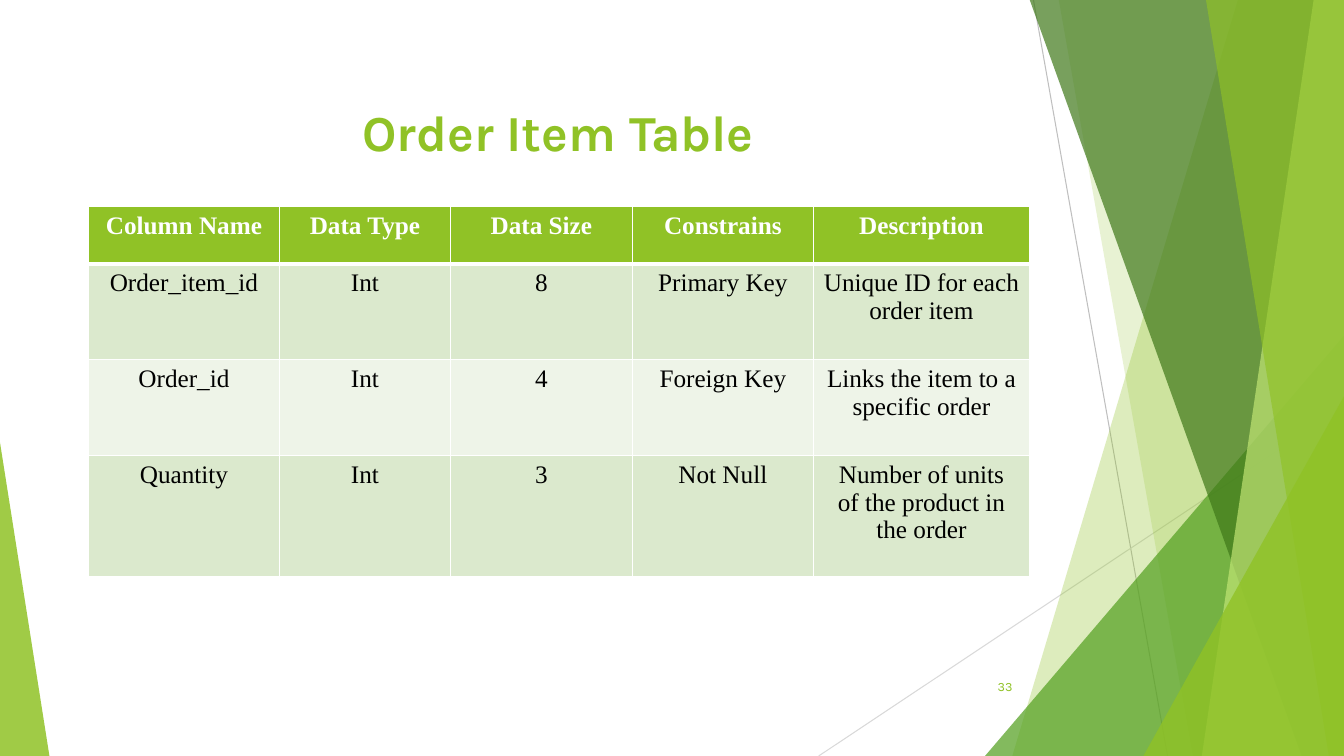
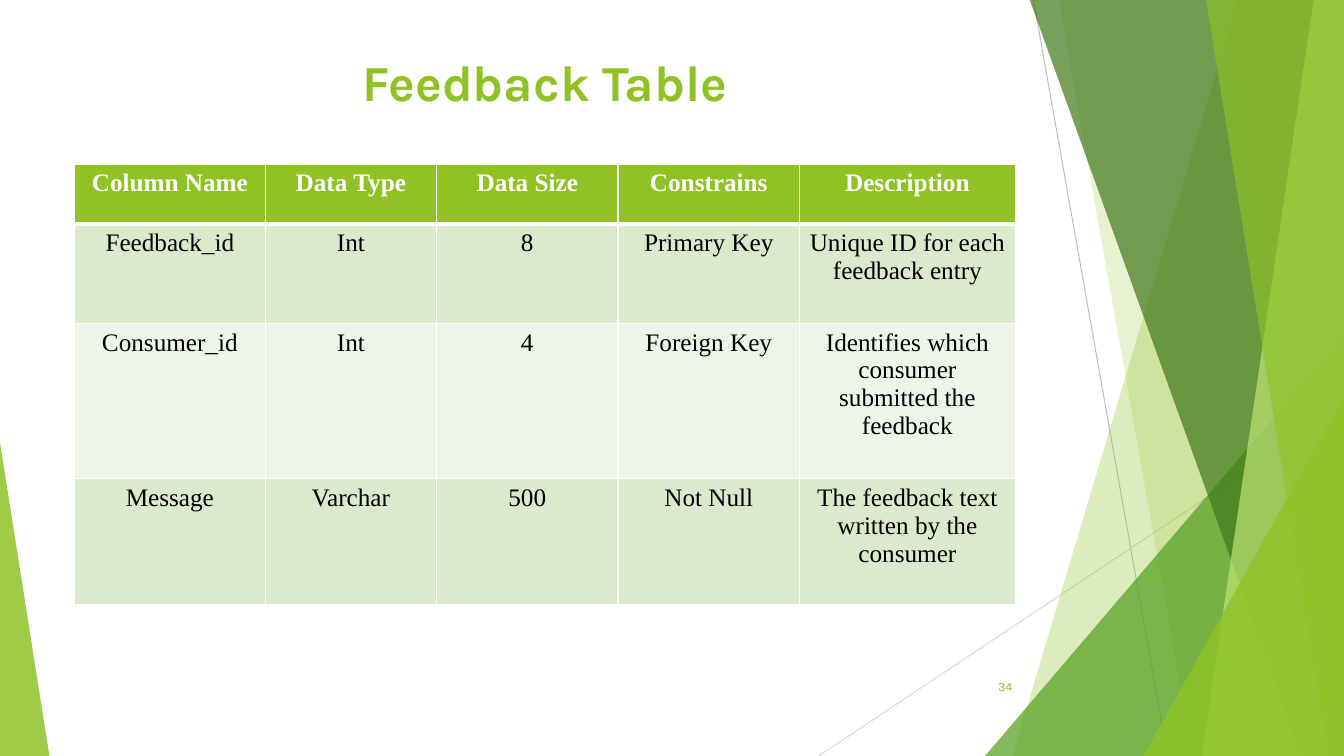
from lxml.etree import SubElement
from pptx import Presentation
from pptx.dml.color import RGBColor
from pptx.enum.shapes import MSO_CONNECTOR, MSO_SHAPE
from pptx.enum.text import MSO_ANCHOR, MSO_AUTO_SIZE, PP_ALIGN
from pptx.oxml.ns import qn
from pptx.util import Emu, Pt

PX = 9144  # EMU in one px, 100 px to the inch
SLIDE_W, SLIDE_H = 1333, 750
BLEED_TOP = -1

WHITE = RGBColor(0xFF, 0xFF, 0xFF)
BLACK = RGBColor(0x00, 0x00, 0x00)
LIME = RGBColor(0x90, 0xC2, 0x26)
LEAF = RGBColor(0x54, 0xA0, 0x21)
FOREST = RGBColor(0x3F, 0x78, 0x19)
PALE_LIME = RGBColor(0xC0, 0xE4, 0x74)
GREY = RGBColor(0xBF, 0xBF, 0xBF)
LIGHT_GREY = RGBColor(0xD9, 0xD9, 0xD9)
BANDS = (RGBColor(0xDB, 0xE9, 0xCD), RGBColor(0xEE, 0xF4, 0xE8))

HEADING_FONT = "Karla"
TABLE_FONT = "Times New Roman"
TITLE_ONLY = 5

HEADER = ("Column Name", "Data Type", "Data Size", "Constrains", "Description")
COLUMN_WIDTHS = (189, 170, 180, 180, 214)
CELL_SIDE_MARGIN = 8

ORDER_ITEM_ROWS = (
    ("Order_item_id", "Int", "8", "Primary Key", "Unique ID for each order item"),
    ("Order_id", "Int", "4", "Foreign Key", "Links the item to a specific order"),
    ("Quantity", "Int", "3", "Not Null",
     "Number of units\nof the product in the order"),
)
FEEDBACK_ROWS = (
    ("Feedback_id", "Int", "8", "Primary Key", "Unique ID for each feedback entry"),
    ("Consumer_id", "Int", "4", "Foreign Key",
     "Identifies which consumer submitted the feedback"),
    ("Message", "Varchar", "500", "Not Null",
     "The feedback text written by the consumer"),
)


def px(*lengths):
    return [Emu(length * PX) for length in lengths]


def write(frame, text, font, size, color, align, bold=False):
    frame.text = text
    for paragraph in frame.paragraphs:
        paragraph.alignment = align
        for run in paragraph.runs:
            run.font.name = font
            run.font.size = Pt(size)
            run.font.bold = bold
            run.font.color.rgb = color


def tint(shape, color, opacity):
    """Fill a shape with a see-through colour, without outline or shadow."""
    shape.shadow.inherit = False
    shape.line.fill.background()
    shape.fill.solid()
    shape.fill.fore_color.rgb = color
    rgb = shape.fill._xPr.find(".//" + qn("a:srgbClr"))
    SubElement(rgb, qn("a:alpha"), val=str(opacity * 1000))


def add_ray(shapes, start, end, color):
    ray = shapes.add_connector(MSO_CONNECTOR.STRAIGHT, *px(*start, *end))
    ray.line.color.rgb = color
    ray.line.width = Pt(0.75)
    SubElement(ray._element.spPr, qn("a:effectLst"))


def add_panel(shapes, top_x, bottom_x, color, opacity):
    """Draw a full-height panel from a slanted edge to the right slide edge."""
    outline = shapes.build_freeform(top_x, BLEED_TOP, scale=PX)
    outline.add_line_segments([(SLIDE_W, BLEED_TOP), (SLIDE_W, SLIDE_H),
                               (bottom_x, SLIDE_H)])
    tint(outline.convert_to_shape(), color, opacity)


def add_corner(shapes, left, right, top, apex, color, opacity):
    """Draw a triangle standing on the bottom edge; apex is 0 left or 1 right."""
    corner = shapes.add_shape(MSO_SHAPE.ISOSCELES_TRIANGLE,
                              *px(left, top, right - left, SLIDE_H - top))
    corner.adjustments[0] = apex
    tint(corner, color, opacity)


def draw_backdrop(shapes):
    add_ray(shapes, (1025, 0), (1158, SLIDE_H), GREY)
    add_ray(shapes, (SLIDE_W, 403), (812, SLIDE_H), LIGHT_GREY)
    add_panel(shapes, 1228, 1004, LIME, 30)
    add_panel(shapes, 1050, 1183, LIME, 20)
    add_corner(shapes, 977, SLIDE_W, 333, 1, LEAF, 72)
    add_panel(shapes, 1021, 1291, FOREST, 70)
    add_panel(shapes, 1303, 1192, PALE_LIME, 70)
    add_panel(shapes, 1196, 1318, LIME, 65)
    add_corner(shapes, 1134, SLIDE_W, 393, 1, LIME, 80)
    add_corner(shapes, 0, 49, 439, 0, LIME, 85)


def move_to_layout(slide, shapes):
    layout_tree = slide.slide_layout.shapes.element
    for shape in shapes:
        layout_tree.append(shape._element)


def set_title(slide, text, left, top):
    title = slide.shapes.title
    title.left, title.top, title.width, title.height = px(left, top, 667, 71)
    frame = title.text_frame
    frame.word_wrap = True
    frame.auto_size = MSO_AUTO_SIZE.NONE
    frame.vertical_anchor = MSO_ANCHOR.TOP
    write(frame, text, HEADING_FONT, 36, LIME, PP_ALIGN.CENTER, bold=True)


def add_page_number(slide, number):
    frame = slide.shapes.add_textbox(*px(939, 661, 75, 40)).text_frame
    frame.word_wrap = True
    frame.vertical_anchor = MSO_ANCHOR.MIDDLE
    write(frame, str(number), HEADING_FONT, 9, LIME, PP_ALIGN.RIGHT)


def set_borders(cell, top, bottom):
    """Give a cell white borders; top and bottom are widths in points."""
    properties = cell._tc.get_or_add_tcPr()
    for side, width in (("L", 1), ("R", 1), ("T", top), ("B", bottom)):
        border = SubElement(properties, qn(f"a:ln{side}"), w=str(Pt(width)))
        fill = SubElement(border, qn("a:solidFill"))
        SubElement(fill, qn("a:srgbClr"), val=str(WHITE))


def style_cell(cell, text, row):
    is_header = row == 0
    set_borders(cell, top=3 if row == 1 else 1, bottom=3 if is_header else 1)
    cell.fill.solid()
    cell.fill.fore_color.rgb = LIME if is_header else BANDS[(row - 1) % 2]
    cell.margin_left, cell.margin_right = px(CELL_SIDE_MARGIN, CELL_SIDE_MARGIN)
    write(cell.text_frame, text, TABLE_FONT, 18,
          WHITE if is_header else BLACK, PP_ALIGN.CENTER, bold=is_header)


def add_schema_table(slide, left, top, row_heights, body_rows):
    rows = (HEADER, *body_rows)
    table = slide.shapes.add_table(
        len(rows), len(HEADER),
        *px(left, top, sum(COLUMN_WIDTHS), sum(row_heights))).table
    for column, width in zip(table.columns, px(*COLUMN_WIDTHS)):
        column.width = width
    for table_row, height in zip(table.rows, px(*row_heights)):
        table_row.height = height
    for r, texts in enumerate(rows):
        for c, text in enumerate(texts):
            style_cell(table.cell(r, c), text, r)


def main():
    deck = Presentation()
    deck.slide_width, deck.slide_height = px(SLIDE_W, SLIDE_H)
    layout = deck.slide_layouts[TITLE_ONLY]

    order_item = deck.slides.add_slide(layout)
    draw_backdrop(order_item.shapes)
    move_to_layout(order_item, [shape for shape in order_item.shapes
                                if not shape.is_placeholder])
    add_page_number(order_item, 33)
    set_title(order_item, "Order Item Table", 220, 95)
    add_schema_table(order_item, 88, 205, (57, 95, 95, 120), ORDER_ITEM_ROWS)

    feedback = deck.slides.add_slide(layout)
    add_page_number(feedback, 34)
    set_title(feedback, "Feedback Table", 207, 46)
    add_schema_table(feedback, 74, 163, (59, 99, 154, 125), FEEDBACK_ROWS)

    deck.save("out.pptx")


if __name__ == "__main__":
    main()
